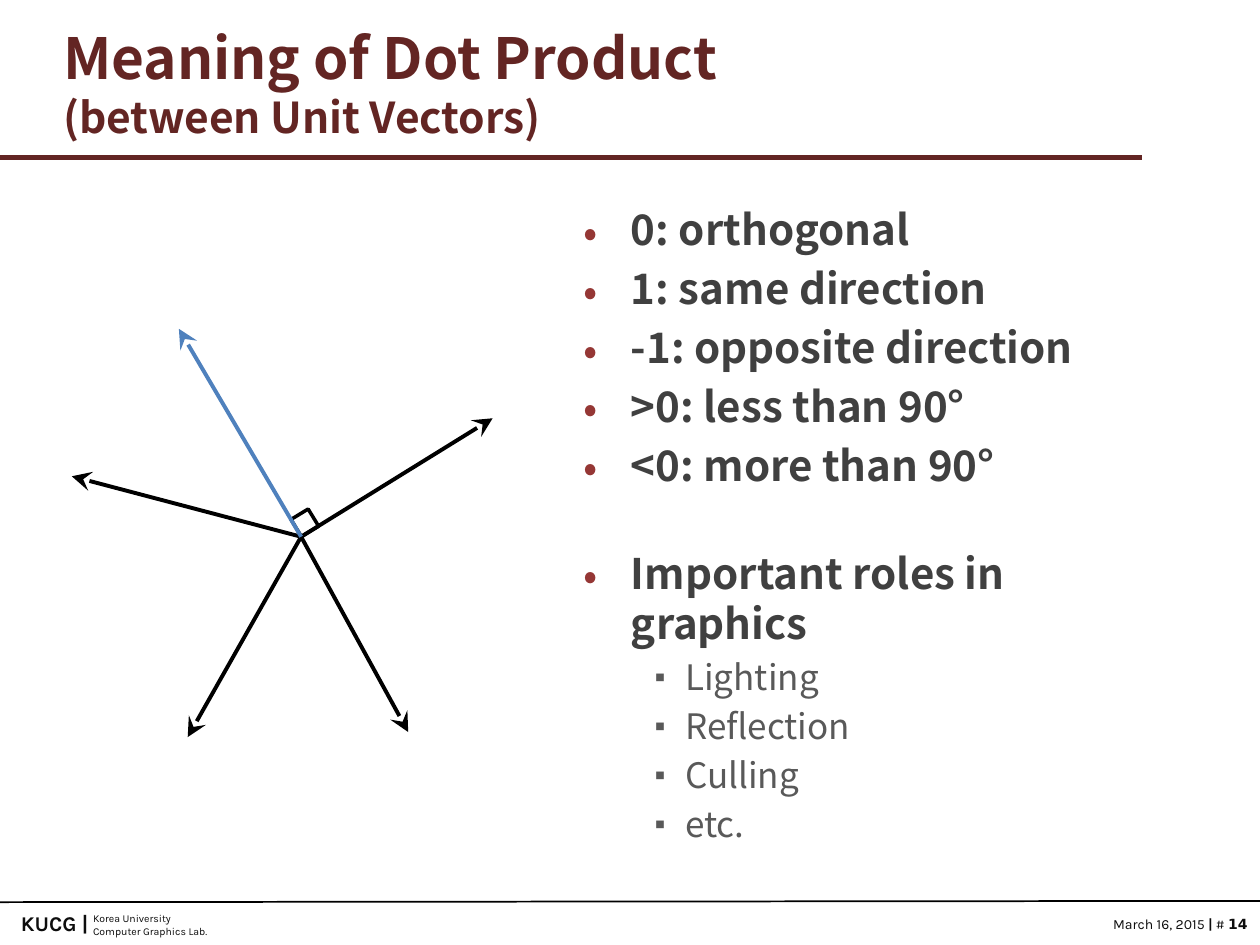
from dataclasses import dataclass

import pptx
import pptx.dml.color
import pptx.enum.shapes
import pptx.enum.text
import pptx.oxml
import pptx.oxml.ns
import pptx.util
from pptx.util import Inches, Pt

SANS, FOOT = "Noto Sans CJK KR", "Karla"
MAROON, BLACK, INK = "632523", "000000", "0D0D0D"
LEFT, RIGHT = pptx.enum.text.PP_ALIGN.LEFT, pptx.enum.text.PP_ALIGN.RIGHT


@dataclass
class Line:
    start: tuple[float, float]
    end: tuple[float, float]
    color: str = BLACK
    width: float = 2.25
    arrow: bool = True


@dataclass
class Level:
    size: int
    color: str
    bold: bool
    indent: float
    hang: float
    bullet: str
    bullet_color: str
    bullet_pct: int


@dataclass
class Footer:
    box: tuple[float, float, float, float]
    lines: list[str]
    size: int
    bold: bool = False
    align: int = LEFT


TOPIC = Level(24, "404040", True, 0.38, 0.38, "•", "953735", 100)
DETAIL = Level(20, "595959", False, 0.81, 0.31, "▪", "595959", 80)
BULLETS = [
    (TOPIC, "0: orthogonal"),
    (TOPIC, "1: same direction"),
    (TOPIC, "-1: opposite direction"),
    (TOPIC, ">0: less than 90°"),
    (TOPIC, "<0: more than 90°"),
    (TOPIC, "Important roles in graphics"),
    (DETAIL, "Lighting"),
    (DETAIL, "Reflection"),
    (DETAIL, "Culling"),
    (DETAIL, "etc."),
]
SECTION_START = 5  # the bullet that opens the second group

ORIGIN = (2.39, 4.26)
RULES = [
    Line((0, 1.25), (9.06, 1.25), MAROON, 3, False),
    Line((0, 7.16), (10, 7.15), BLACK, 1, False),
]
VECTORS = [Line(ORIGIN, tip) for tip in
           [(3.91, 3.32), (3.24, 5.81), (0.57, 3.78), (1.49, 5.85)]]
REFERENCE = Line(ORIGIN, (1.42, 2.61), "4F81BD")

FOOTERS = [
    Footer((0.64, 7.19, 1.4, 0.3), ["Korea University", "Computer Graphics Lab."], 6),
    Footer((-0.04, 7.18, 0.84, 0.3), ["KUCG |"], 12, True, RIGHT),
]
DATE = Footer((8.5, 7.22, 1.5, 0.24), ["March 16, 2015 "], 8, False, RIGHT)


def rgb(color: str):
    return pptx.dml.color.RGBColor.from_string(color)


def set_font(font, name: str, size: float, color: str, bold: bool) -> None:
    font.name, font.size, font.bold = name, Pt(size), bold
    font.color.rgb = rgb(color)


def add_child(parent, tag: str, **attrs: str):
    child = pptx.oxml.parse_xml(f"<a:{tag} {pptx.oxml.ns.nsdecls('a')}/>")
    for key, value in attrs.items():
        child.set(key, value)
    parent.append(child)
    return child


def add_line(s, line: Line) -> None:
    sp = s.shapes.add_connector(
        pptx.enum.shapes.MSO_CONNECTOR.STRAIGHT,
        *map(Inches, line.start + line.end))
    sp.line.color.rgb = rgb(line.color)
    sp.line.width = Pt(line.width)
    if line.arrow:
        add_child(sp.line._get_or_add_ln(), "tailEnd", type="stealth", w="lg", len="lg")
    add_child(sp._element.spPr, "effectLst")


def add_text_frame(s, box: tuple[float, float, float, float]):
    tf = s.shapes.add_textbox(*map(Inches, box)).text_frame
    tf.word_wrap = True
    return tf


def next_paragraph(tf, index: int):
    return tf.add_paragraph() if index else tf.paragraphs[0]


def add_footer(s, footer: Footer):
    tf = add_text_frame(s, footer.box)
    for i, text in enumerate(footer.lines):
        p = next_paragraph(tf, i)
        p.text, p.alignment = text, footer.align
        set_font(p.font, FOOT, footer.size, INK, footer.bold)
    return tf


def add_bullet(p, level: Level) -> None:
    pPr = p._p.get_or_add_pPr()
    pPr.set("marL", str(Inches(level.indent)))
    pPr.set("indent", str(-Inches(level.hang)))
    add_child(add_child(pPr, "buClr"), "srgbClr", val=level.bullet_color)
    add_child(pPr, "buSzPct", val=str(level.bullet_pct * 1000))
    add_child(pPr, "buFont", typeface=SANS)
    add_child(pPr, "buChar", char=level.bullet)


def add_title(s) -> None:
    sp = s.shapes.title
    sp.left, sp.top, sp.width, sp.height = map(Inches, (0.3, 0.22, 9, 0.87))
    tf = sp.text_frame
    tf.margin_left = Inches(0.2)
    tf.vertical_anchor = pptx.enum.text.MSO_ANCHOR.MIDDLE
    p = tf.paragraphs[0]
    p.alignment = LEFT
    set_font(p.font, SANS, 32.4, MAROON, True)
    p.add_run().text = "Meaning of Dot Product"
    p.add_line_break()
    r = p.add_run()
    r.text = "(between Unit Vectors)"
    r.font.size = Pt(24.3)


def add_bullets(s) -> None:
    tf = add_text_frame(s, (4.53, 1.57, 4.97, 5.3))
    for i, (level, text) in enumerate(BULLETS):
        p = next_paragraph(tf, i)
        p.text = text
        if i:
            p.space_before = Pt(33 if i == SECTION_START else level.size * 0.2)
        add_bullet(p, level)
        set_font(p.font, SANS, level.size, level.color, level.bold)


def add_right_angle(s) -> None:
    sp = s.shapes.add_shape(
        pptx.enum.shapes.MSO_SHAPE.RECTANGLE,
        *map(Inches, (2.34, 4.07, 0.16, 0.16)))
    sp.rotation = 328.6
    sp.shadow.inherit = False
    sp.fill.background()
    sp.line.color.rgb = rgb(BLACK)
    sp.line.width = Pt(2)


def main() -> None:
    prs = pptx.Presentation()
    prs.slide_width, prs.slide_height = Inches(10), Inches(7.5)
    s = prs.slides.add_slide(prs.slide_layouts[5])

    # Frame: footer texts and rules
    for footer in FOOTERS:
        add_footer(s, footer)
    p = add_footer(s, DATE).paragraphs[0]
    for text, bold in [("|", True), (" # ", False), ("14", True)]:
        r = p.add_run()
        r.text, r.font.bold = text, bold
    r.font.name = "DejaVu Sans"
    for rule in RULES:
        add_line(s, rule)

    # Content
    add_title(s)
    add_bullets(s)

    # Vector diagram
    for vector in VECTORS:
        add_line(s, vector)
    add_right_angle(s)
    add_line(s, REFERENCE)

    prs.save("out.pptx")


if __name__ == "__main__":
    main()
